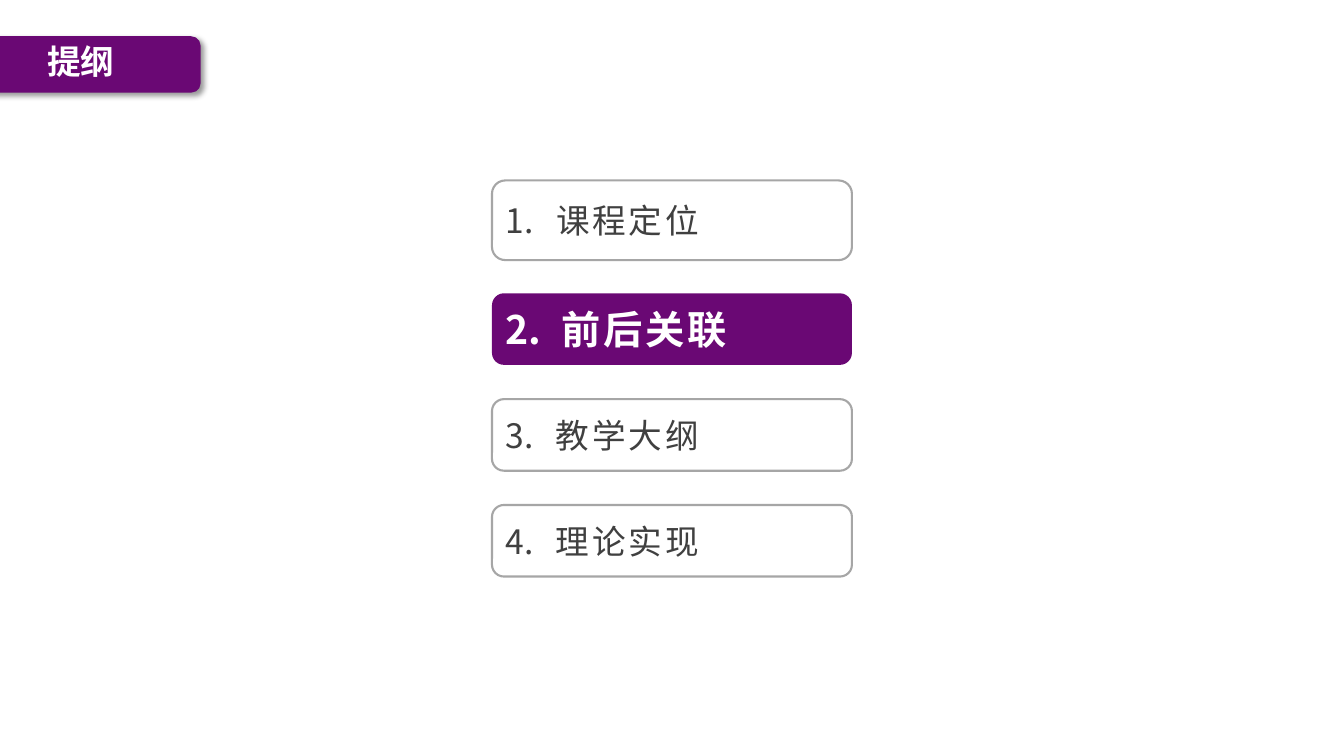
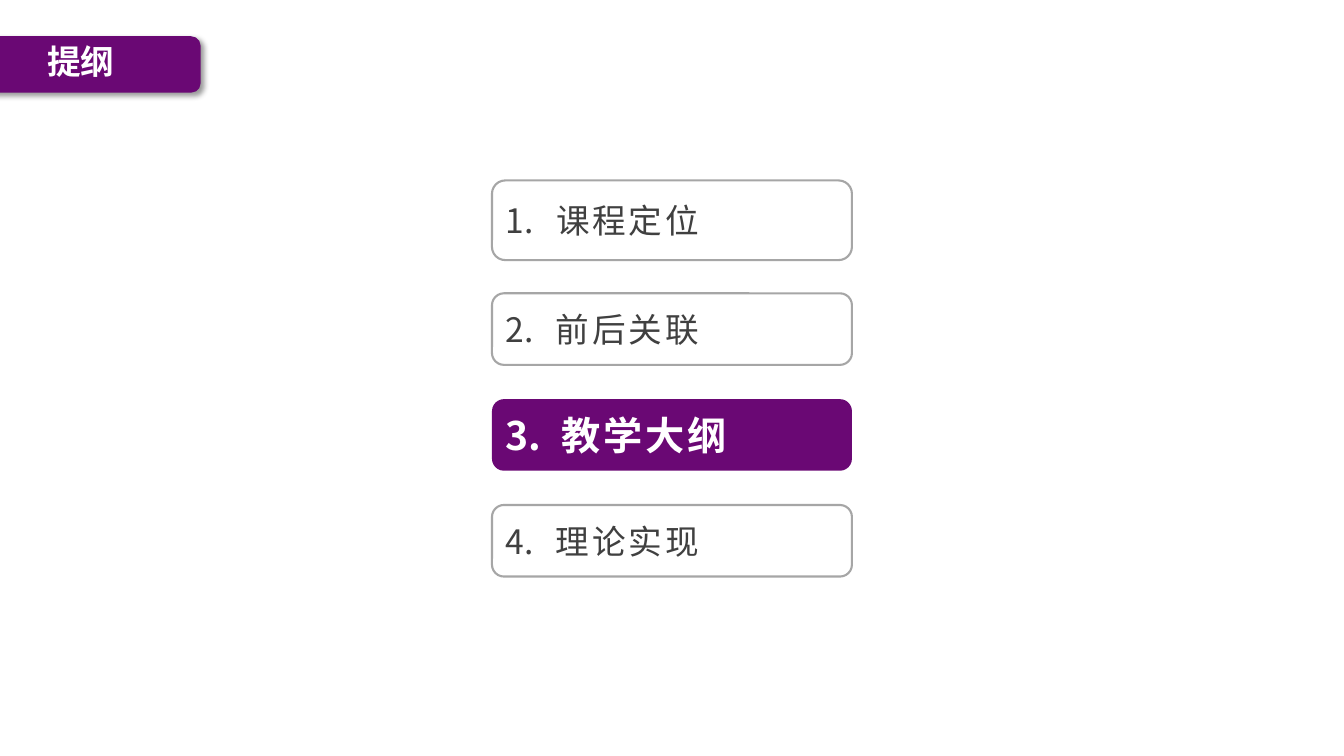
"""Build the course outline slides, each with one topic lit."""
from dataclasses import dataclass
from typing import Any

from lxml.etree import SubElement as Sub
from pptx import Presentation
from pptx.dml.color import RGBColor as RGB
from pptx.enum.shapes import MSO_SHAPE as Shape
from pptx.enum.text import MSO_ANCHOR as Anchor, PP_ALIGN as Align
from pptx.oxml.ns import qn
from pptx.util import Inches, Pt

COLORS = {"plum": "6A0874", "gray": "A6A6A6", "ink": "404040", "white": "FFFFFF", "black": "000000"}
HAN = "Noto Sans CJK SC"
TITLE = "提纲"
TOPICS = ["课程定位", "前后关联", "教学大纲", "理论实现"]
LIT = [2, 3]
LEFT, WIDTH = 4.88, 3.57
FIRST, NEXT, PITCH = 1.79, 2.91, 1.05
TALL, HIGH = 0.79, 0.71


@dataclass
class Look:
    """Style of one topic box."""
    fill: str | None
    line: str | None
    color: str
    hang: float
    font: dict[str, Any]


PLAIN = Look(None, "gray", "ink", 0.5, {"size": Pt(24), "bold": False, "name": "Arial"})
BOLD = Look("plum", None, "white", 0.56, {"size": Pt(28), "bold": True, "name": "Arial"})
HEAD = {"size": Pt(24), "bold": True, "name": HAN}
FRAME = {
    "word_wrap": True, "vertical_anchor": Anchor.MIDDLE,
    "margin_left": Inches(0.1), "margin_right": Inches(0.1),
    "margin_top": Inches(0.12), "margin_bottom": Inches(0.12),
}


def apply(item: Any, values: dict[str, Any]) -> None:
    """Set each named value on the item."""
    for key, value in values.items():
        setattr(item, key, value)


def hue(name: str) -> RGB:
    """Look up a colour by name."""
    return RGB.from_string(COLORS[name])


def write(para: Any, text: str, color: str, font: dict[str, Any]) -> Any:
    """Add a styled run to the paragraph."""
    run = para.add_run()
    run.text = text
    apply(run.font, font)
    run.font.color.rgb = hue(color)
    props = run.font._element
    Sub(props, qn("a:ea"), typeface=HAN)
    return props


def panel(slide: Any, left: float, top: float, width: float, height: float,
          fill: str | None, line: str | None) -> Any:
    """Add a rounded box with an optional fill and line."""
    box = slide.shapes.add_shape(
        Shape.ROUNDED_RECTANGLE, Inches(left), Inches(top), Inches(width), Inches(height))
    box.shadow.inherit = False
    if fill:
        box.fill.solid()
        box.fill.fore_color.rgb = hue(fill)
    else:
        box.fill.background()
    if line:
        box.line.color.rgb = hue(line)
        box.line.width = Pt(1.5)
    else:
        box.line.fill.background()
    return box


def shade(box: Any) -> None:
    """Give the box a soft shadow down to the right."""
    effect = box._element.spPr.find(qn("a:effectLst"))
    outer = Sub(effect, qn("a:outerShdw"), blurRad=str(Pt(4)), dist=str(Pt(3)),
                dir="2700000", algn="tl", rotWithShape="0")
    color = Sub(outer, qn("a:srgbClr"), val=COLORS["black"])
    Sub(color, qn("a:alpha"), val="40000")


def header(slide: Any) -> None:
    """Draw the title band at the left edge."""
    shade(panel(slide, -0.81, 0.36, 2.8, 0.56, "plum", None))
    box = slide.shapes.add_textbox(Inches(0.37), Inches(0.36), Inches(1.61), Inches(0.55))
    box.text_frame.word_wrap = True
    write(box.text_frame.paragraphs[0], TITLE, "white", HEAD)


def topic(slide: Any, num: int, text: str, look: Look) -> None:
    """Draw one numbered topic."""
    top, height = (FIRST, TALL) if num == 1 else (NEXT + PITCH * (num - 2), HIGH)
    box = panel(slide, LEFT, top, WIDTH, height, look.fill, look.line)
    frame = box.text_frame
    apply(frame, FRAME)
    para = frame.paragraphs[0]
    para.alignment = Align.LEFT
    props = para._p.get_or_add_pPr()
    hang = Inches(look.hang)
    props.set("marL", str(hang))
    props.set("indent", str(-hang))
    Sub(props, qn("a:buFont"), typeface=HAN)
    Sub(props, qn("a:buAutoNum"), type="arabicPeriod", startAt=str(num))
    write(para, text, look.color, look.font).set("spc", "200")


def main() -> None:
    """Build and save the deck."""
    deck = Presentation()
    deck.slide_width, deck.slide_height = Inches(13.33), Inches(7.5)
    for lit in LIT:
        slide = deck.slides.add_slide(deck.slide_layouts[6])
        header(slide)
        for num, text in enumerate(TOPICS, 1):
            topic(slide, num, text, BOLD if num == lit else PLAIN)
    deck.save("out.pptx")


if __name__ == "__main__":
    main()
